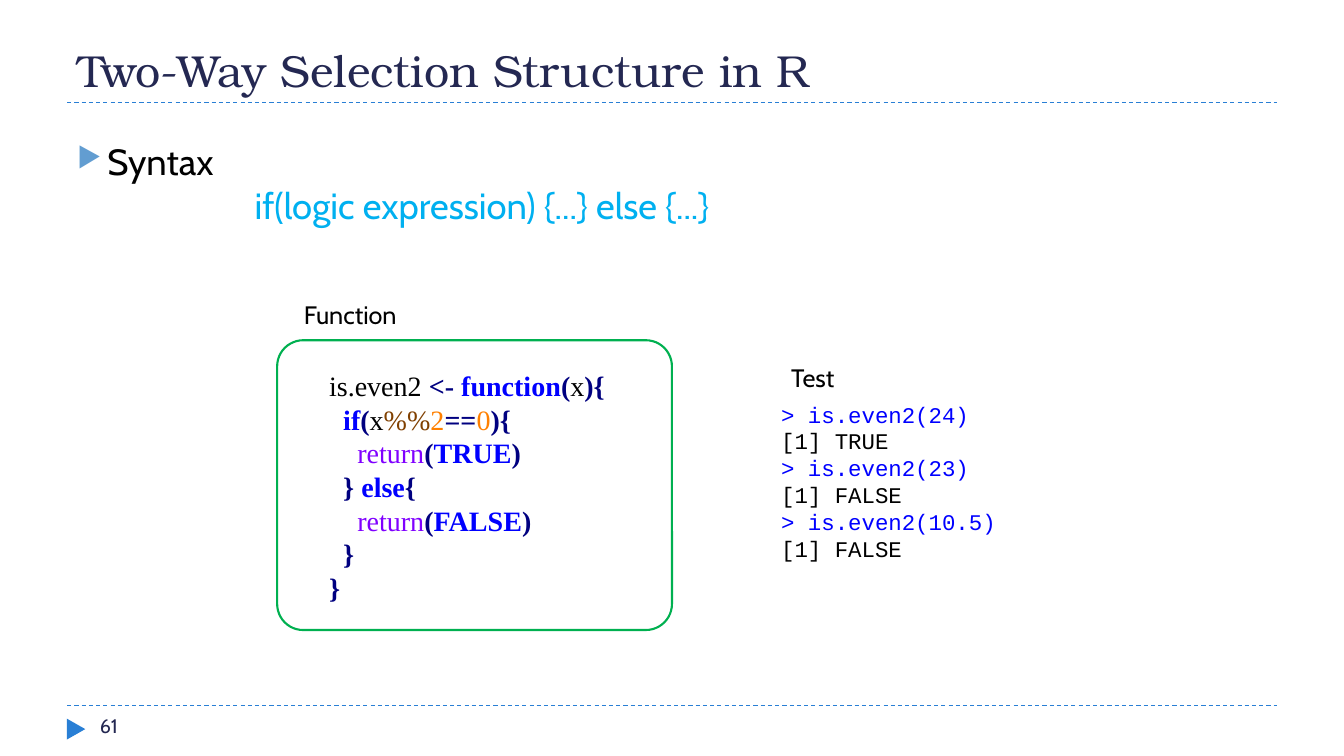
import pptx
import pptx.util
import pptx.dml.color
import pptx.enum.dml
import pptx.enum.shapes
import pptx.enum.text
import lxml.etree

# Content: each line is (indent level, runs), each run is (text, style)
TITLE, PAGE = "Two-Way Selection Structure in R", "61"
SYNTAX = ("Syntax", "if(logic expression) {...} else {...}")
LABELS = [("Function", 35, 35), ("Test", 93, 42.5)]
CODE = [
    (0, [("is.even2 ", "text"), ("<-", "op"), (" ", "text"), ("function", "key"),
         ("(", "op"), ("x", "text"), ("){", "op")]),
    (1, [("if", "key"), ("(", "op"), ("x", "text"), ("%%", "mod"), ("2", "num"),
         ("==", "op"), ("0", "num"), ("){", "op")]),
    (2, [("return", "call"), ("(", "op"), ("TRUE", "key"), (")", "op")]),
    (1, [("}", "op"), (" ", "text"), ("else", "key"), ("{", "op")]),
    (2, [("return", "call"), ("(", "op"), ("FALSE", "key"), (")", "op")]),
    (1, [("}", "op")]),
    (0, [("}", "op")]),
]
TESTS = [("24", "TRUE"), ("23", "FALSE"), ("10.5", "FALSE")]

# Style: (colour, bold)
STYLE = {"text": ("000000", False), "op": ("000080", True), "key": ("0000FF", True),
         "mod": ("804000", False), "num": ("FF8000", False), "call": ("8000FF", False)}
NAVY, BLUE, BLACK = "242852", "297FD5", "000000"
SANS = "Cabin"

# Grid of 160 columns by 90 rows
deck = pptx.Presentation()
deck.slide_width = pptx.util.Inches(13.33)
deck.slide_height = pptx.util.Inches(7.5)
COL, ROW = deck.slide_width / 160, deck.slide_height / 90
slide = deck.slides.add_slide(deck.slide_layouts[6])
SHAPE = pptx.enum.shapes.MSO_SHAPE
ANCHOR = pptx.enum.text.MSO_ANCHOR


def color(code):
    return pptx.dml.color.RGBColor.from_string(code)


def place(x, y, w, h):
    return round(x * COL), round(y * ROW), round(w * COL), round(h * ROW)


def add_run(para, text, size, font, code, bold=False):
    run = para.add_run()
    run.text = text
    run.font.size = pptx.util.Pt(size)
    run.font.name = font
    run.font.bold = bold
    run.font.color.rgb = color(code)


def add_para(frame, indent=0, hang=0):
    para = frame.paragraphs[0]
    if para.runs:
        para = frame.add_paragraph()
    para.alignment = pptx.enum.text.PP_ALIGN.LEFT
    props = para._p.get_or_add_pPr()
    props.set("marL", str(pptx.util.Inches(indent)))
    props.set("indent", str(pptx.util.Inches(hang)))
    return para


def add_box(*area):
    frame = slide.shapes.add_textbox(*place(*area)).text_frame
    frame.word_wrap = True
    return frame


def add_shape(kind, area, fill=None, line=None):
    shape = slide.shapes.add_shape(kind, *place(*area))
    shape.shadow.inherit = False
    if fill:
        shape.fill.solid()
        shape.fill.fore_color.rgb = color(fill)
    else:
        shape.fill.background()
    if line:
        shape.line.color.rgb = color(line)
        shape.line.width = pptx.util.Pt(1.5)
    else:
        shape.line.fill.background()
    return shape


def add_tag(parent, tag, **attrs):
    name = pptx.oxml.ns.qn("a:" + tag)
    return lxml.etree.SubElement(parent, name, attrs)


# Dashed rules and page marker
for row in (84, 12.25):
    x, y, w, _ = place(8, row, 144, 0)
    rule = slide.shapes.add_connector(
        pptx.enum.shapes.MSO_CONNECTOR.STRAIGHT, x, y, x + w, y)
    rule.line.color.rgb = color(BLUE)
    rule.line.width = pptx.util.Pt(0.75)
    rule.line.dash_style = pptx.enum.dml.MSO_LINE.DASH
    add_tag(rule._element.spPr, "effectLst")
mark = add_shape(SHAPE.ISOSCELES_TRIANGLE, (7.8, 85.7, 2.5, 2.2), BLUE)
mark.rotation = 90

# Title and page number
head = add_box(8, 2, 144, 10.1)
head.vertical_anchor = ANCHOR.BOTTOM
add_run(add_para(head), TITLE, 32, "TeX Gyre Bonum", NAVY)
add_run(add_para(add_box(10.7, 84.4, 34.7, 3.8)), PAGE, 14, SANS, NAVY)

# Syntax bullet with the pattern below it
body = add_box(8, 16, 126, 13)
para = add_para(body, 0.3, -0.3)
para.space_before = pptx.util.Pt(6)
props = para._p.get_or_add_pPr()
add_tag(add_tag(props, "buClr"), "srgbClr", val="629DD1")
add_tag(props, "buSzPct", val="76000")
add_tag(props, "buChar", char="▶")
add_run(para, SYNTAX[0], 26, SANS, BLACK)
add_run(add_para(body, 1.76), SYNTAX[1], 26, SANS, "00B0F0")

# Function code in its frame
code = add_box(38, 43.3, 38, 29.5)
for level, runs in CODE:
    para = add_para(code, level * 0.14)
    for text, style in runs:
        add_run(para, text, 20, "Times New Roman", *STYLE[style])
frame = add_shape(SHAPE.ROUNDED_RECTANGLE, (33, 40.5, 47, 34.5), line="00B050")
frame.adjustments[0] = 0.09

# Labels
for text, x, y in LABELS:
    add_run(add_para(add_box(x, y, 35, 4.8)), text, 18, SANS, BLACK)

# Test output
out = add_shape(SHAPE.RECTANGLE, (93, 47.6, 25.9, 19.4), "FFFFFF").text_frame
out.word_wrap = False
out.vertical_anchor = ANCHOR.MIDDLE
out.margin_left = out.margin_right = out.margin_top = out.margin_bottom = 0
for value, answer in TESTS:
    for text, ink in ((f"> is.even2({value})", "0000FF"), (f"[1] {answer}", BLACK)):
        add_run(add_para(out), text, 16, "Courier New", ink)

deck.save("out.pptx")
